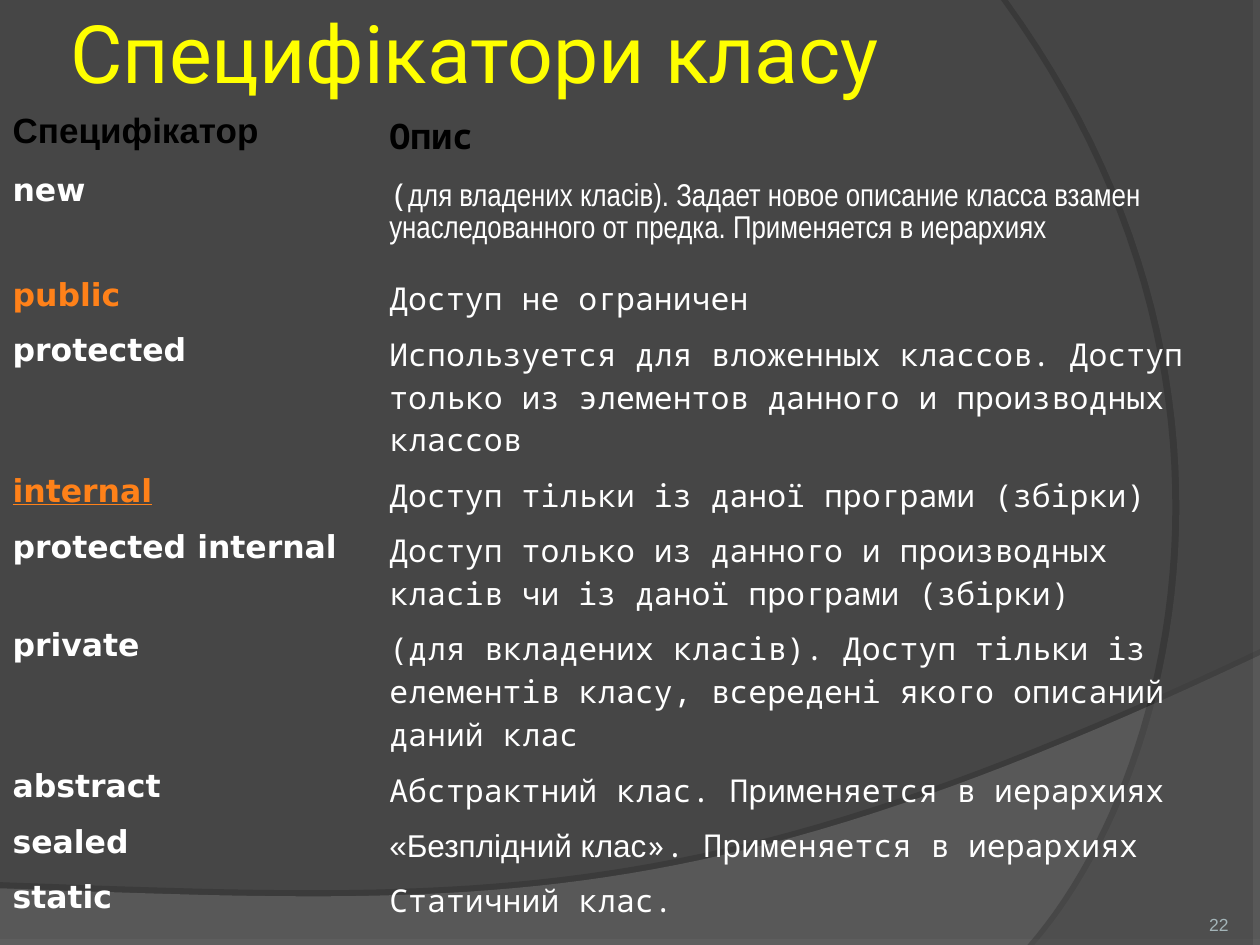
from lxml import etree
from pptx import Presentation
from pptx.dml.color import RGBColor
from pptx.enum.text import MSO_ANCHOR as Anchor, PP_ALIGN as Align
from pptx.oxml import parse_xml
from pptx.oxml.ns import nsdecls, qn
from pptx.util import Inches, Pt

WHITE, BLACK, ORANGE = "FFFFFF", "000000", "FF8119"
MONO, SANS = "Noto Sans Mono", "DejaVu Sans"
NO_STYLE = "{2D5ABB26-0587-4C30-8999-92F81FD0307C}"
ONE_LINE, TWO_LINES, THREE_LINES = (0.1 + 0.34 * n for n in (1, 2, 3))

HEADER = ("Специфікатор", "Опис")
ROWS = [
    ("new", 0.83, [("(", MONO), ("для владених класів). Задает новое описание класса взамен "
                                 "унаследованного от предка. Применяется в иерархиях", "Arial Narrow")]),
    ("public", ONE_LINE, [("Доступ не ограничен", MONO)]),
    ("protected", THREE_LINES, [("Используется для вложенных классов. Доступ только из элементов "
                                 "данного и производных классов", MONO)]),
    ("internal", ONE_LINE, [("Доступ тільки із даної програми (збірки)", MONO)]),
    ("protected internal", TWO_LINES, [("Доступ только из данного и производных класів чи із даної "
                                        "програми (збірки)", MONO)]),
    ("private", THREE_LINES, [("(для вкладених класів). Доступ тільки із елементів класу, всередені "
                               "якого описаний даний клас", MONO)]),
    ("abstract", ONE_LINE, [("Абстрактний клас. Применяется в иерархиях", MONO)]),
    ("sealed", ONE_LINE, [("«Безплідний клас", "Arial"), ("». Применяется в иерархиях", MONO)]),
    ("static", ONE_LINE, [("Статичний клас.", MONO)]),
]


def rgb(color):
    return RGBColor.from_string(color)


def add_run(p, text, font, size, color, bold=False, underline=False):
    r = p.add_run()
    r.text = text
    r.font.name, r.font.size = font, Pt(size)
    r.font.bold, r.font.underline = bold, underline
    r.font.color.rgb = rgb(color)


def add_text(slide, box, text, font, size, color, anchor, align, inset):
    sp = slide.shapes.add_textbox(*map(Inches, box))
    tf = sp.text_frame
    tf.word_wrap = True
    tf.vertical_anchor = anchor
    tf.margin_left = tf.margin_right = tf.margin_top = tf.margin_bottom = Inches(inset)
    p = tf.paragraphs[0]
    p.alignment = align
    add_run(p, text, font, size, color)


def curve(start, c1, c2, end, steps=48):
    def at(t):
        weights = ((1 - t) ** 3, 3 * t * (1 - t) ** 2, 3 * t * t * (1 - t), t ** 3)
        return tuple(sum(w * pt[i] for w, pt in zip(weights, (start, c1, c2, end))) for i in (0, 1))
    return [at(n / steps) for n in range(steps + 1)]


def add_swoosh(slide, points, color, alpha, shade, distance, direction):
    pts = [(Inches(x), Inches(y)) for x, y in points]
    builder = slide.shapes.build_freeform(*pts[0])
    builder.add_line_segments(pts[1:], close=True)
    sp = builder.convert_to_shape()
    sp.line.fill.background()
    sp.fill.solid()
    sp.fill.fore_color.rgb = rgb(color)
    clr = sp._element.spPr.find(qn("a:solidFill"))[0]
    etree.SubElement(clr, qn("a:alpha")).set("val", str(alpha * 1000))
    sp._element.spPr.append(parse_xml(
        f'<a:effectLst {nsdecls("a")}><a:outerShdw blurRad="0" dist="{Pt(distance)}" '
        f'dir="{direction * 60000}" algn="ctr" rotWithShape="0"><a:srgbClr val="{BLACK}">'
        f'<a:alpha val="{shade * 1000}"/></a:srgbClr></a:outerShdw></a:effectLst>'))


def add_background(slide, width, height):
    fill = slide.background.fill
    fill.solid()
    fill.fore_color.rgb = rgb("464646")
    wave = curve((width, 5.2), (5.59, 7.29), (3.91, 7.19), (0, 7.05))
    add_swoosh(slide, [(0, height), (width, height)] + wave, "7C7C7C", 45, 35, 3.5, 270)
    arc = curve((8.21, height), (9.35, 6.19), (10.18, 3), (8, 0))
    add_swoosh(slide, [(width, 0), (width, height)] + arc, "595959", 40, 45, 4, 180)


def add_specifiers(slide, box):
    frame = slide.shapes.add_table(len(ROWS) + 1, 2, *map(Inches, box))
    table = frame.table
    table.first_row = table.horz_banding = False
    table._tbl.tblPr.find(qn("a:tableStyleId")).text = NO_STYLE
    for cell in table.iter_cells():
        cell.fill.background()
    table.columns[0].width = Inches(2.99)
    table.columns[1].width = Inches(box[2] - 2.99)

    table.rows[0].height = Inches(0.48)
    for i, (text, font) in enumerate(zip(HEADER, ("Arial", MONO))):
        add_run(table.cell(0, i).text_frame.paragraphs[0], text, font, 20, BLACK, True)

    for i, (name, height, runs) in enumerate(ROWS, 1):
        table.rows[i].height = Inches(height)
        key, desc = (table.cell(i, j).text_frame.paragraphs[0] for j in (0, 1))
        color = ORANGE if name in ("public", "internal") else WHITE
        add_run(key, name, SANS, 18, color, True, name == "internal")
        for text, font in runs:
            add_run(desc, text, font, 18, WHITE)


def main():
    prs = Presentation()
    prs.slide_width, prs.slide_height = Inches(10), Inches(7.5)
    slide = prs.slides.add_slide(prs.slide_layouts[6])
    add_background(slide, 10, 7.5)
    add_text(slide, (8.92, 7.02, 0.83, 0.4), "22", "Arial", 10, "A3B4B8",
             Anchor.BOTTOM, Align.RIGHT, 0)
    add_text(slide, (0.51, 0.12, 9.37, 0.57), "Специфікатори класу", "Roboto", 46, "FFFF00",
             Anchor.MIDDLE, Align.LEFT, 0.05)
    add_specifiers(slide, (0, 0.84, 9.8, 6.53))
    prs.save("out.pptx")


if __name__ == "__main__":
    main()
